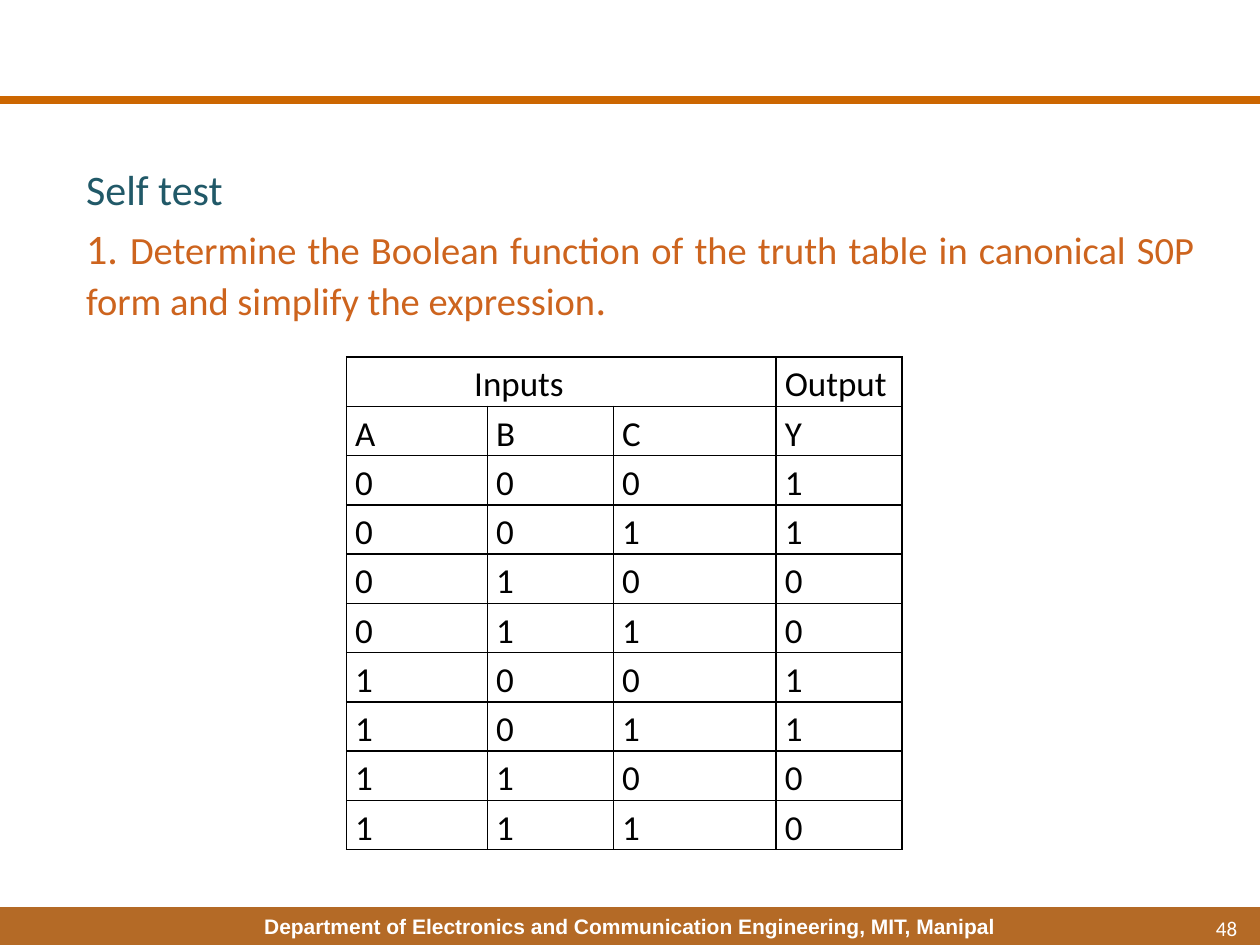
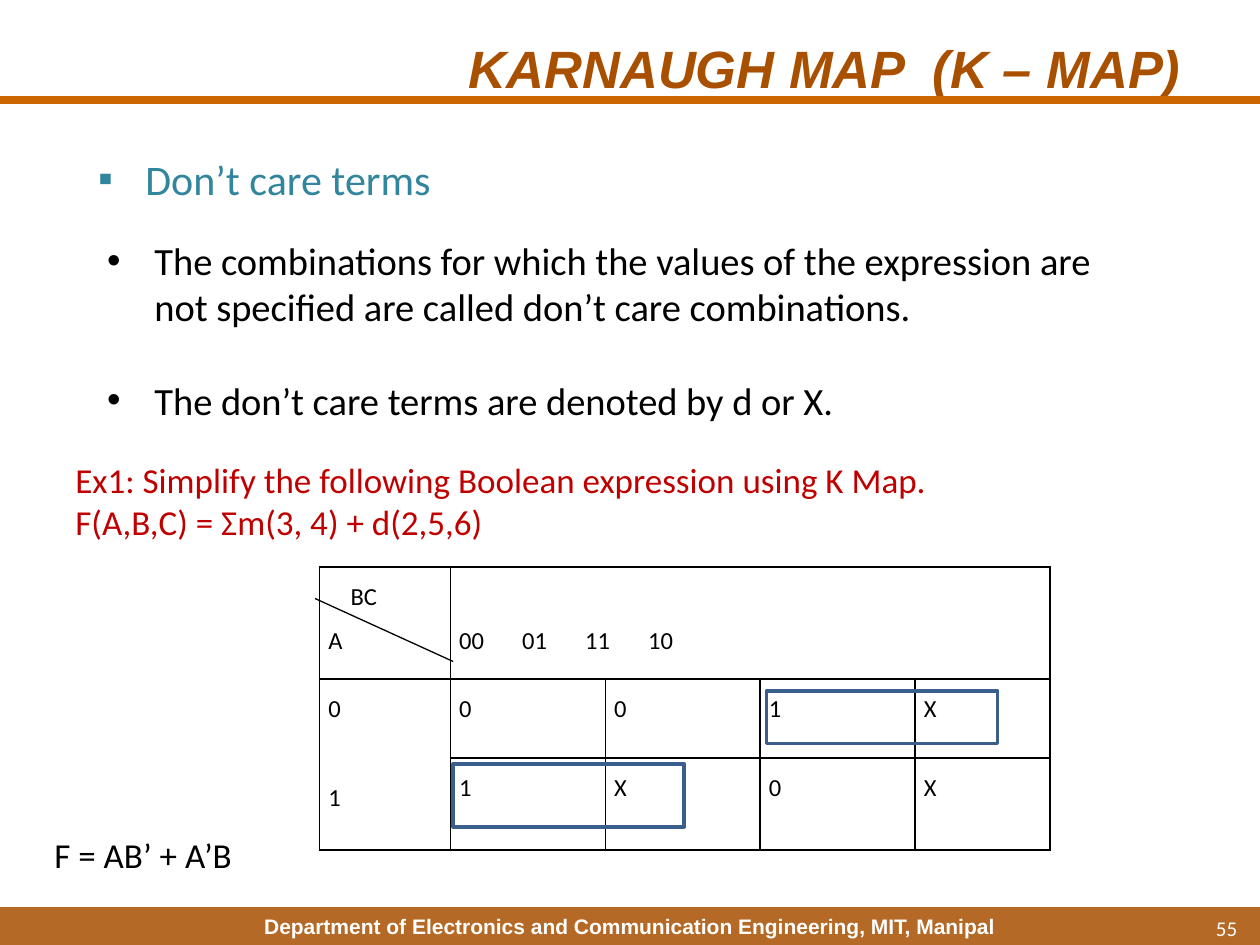
from itertools import product

from lxml.etree import SubElement
from pptx import Presentation
from pptx.dml.color import RGBColor
from pptx.enum.shapes import MSO_CONNECTOR, MSO_SHAPE
from pptx.enum.text import MSO_ANCHOR, MSO_AUTO_SIZE, PP_ALIGN
from pptx.oxml.ns import qn
from pptx.util import Pt

BROWN = "A85000"
RULE_ORANGE = "CC6600"
QUESTION_ORANGE = "CD641E"
DARK_TEAL = "215968"
TEAL = "31859C"
RED = "C00000"
LOOP_BLUE = "3A5F8C"
BLACK = "000000"
WHITE = "FFFFFF"
FOOTER = "Department of Electronics and Communication Engineering, MIT, Manipal"


def color(hex_string):
    return RGBColor.from_string(hex_string)


def format_run(run, size, hex_string, font_name="Calibri", bold=False, italic=False):
    run.font.size = Pt(size)
    run.font.name = font_name
    run.font.bold = bold
    run.font.italic = italic
    run.font.color.rgb = color(hex_string)


def format_text(text_frame, size, hex_string, align=PP_ALIGN.LEFT, **style):
    for paragraph in text_frame.paragraphs:
        paragraph.alignment = align
        paragraph.space_before = Pt(0)
        for run in paragraph.runs:
            format_run(run, size, hex_string, **style)


def set_indent(paragraph, left, first=0, bullet=None, tabs=()):
    properties = paragraph._p.get_or_add_pPr()
    properties.set("marL", str(Pt(left)))
    properties.set("indent", str(Pt(first)))
    if bullet:
        SubElement(properties, qn("a:buFont"), typeface="Arial")
        SubElement(properties, qn("a:buChar"), char=bullet)
    else:
        SubElement(properties, qn("a:buNone"))
    if tabs:
        tab_list = SubElement(properties, qn("a:tabLst"))
        for position in tabs:
            SubElement(tab_list, qn("a:tab"), pos=str(Pt(position)), algn="l")


def place(shape, left, top, width, height):
    shape.left, shape.top = Pt(left), Pt(top)
    shape.width, shape.height = Pt(width), Pt(height)
    shape.text_frame.auto_size = MSO_AUTO_SIZE.NONE


def add_text(slide, text, box, size, hex_string, align=PP_ALIGN.LEFT,
             anchor=MSO_ANCHOR.TOP, wrap=True):
    text_box = slide.shapes.add_textbox(*map(Pt, box))
    text_frame = text_box.text_frame
    text_frame.word_wrap = wrap
    text_frame.vertical_anchor = anchor
    text_frame.text = text
    format_text(text_frame, size, hex_string, align)
    return text_frame


def add_line(slide, start, end, hex_string, width):
    line = slide.shapes.add_connector(
        MSO_CONNECTOR.STRAIGHT, *map(Pt, (*start, *end)))
    line.line.color.rgb = color(hex_string)
    line.line.width = Pt(width)
    SubElement(line._element.spPr, qn("a:effectLst"))


def add_rectangle(slide, box):
    rectangle = slide.shapes.add_shape(MSO_SHAPE.RECTANGLE, *map(Pt, box))
    rectangle.shadow.inherit = False
    return rectangle


def add_loop(slide, box):
    loop = add_rectangle(slide, box)
    loop.fill.background()
    loop.line.color.rgb = color(LOOP_BLUE)
    loop.line.width = Pt(2)


def add_footer_band(slide):
    band = add_rectangle(slide, (0, 518.4, 720, 21.6))
    band.fill.solid()
    band.fill.fore_color.rgb = color(BROWN)
    fill_color = band._element.spPr.find(qn("a:solidFill"))[0]
    SubElement(fill_color, qn("a:alpha"), val="85000")
    band.line.fill.background()
    text_frame = band.text_frame
    text_frame.margin_top = text_frame.margin_bottom = 0
    text_frame.vertical_anchor = MSO_ANCHOR.MIDDLE
    text_frame.text = FOOTER
    format_text(text_frame, 12, WHITE, PP_ALIGN.CENTER, font_name="Arial", bold=True)


def add_base_slide(presentation, number):
    slide = presentation.slides.add_slide(presentation.slide_layouts[1])
    add_footer_band(slide)
    add_line(slide, (0, 57), (722, 57), RULE_ORANGE, 4.5)
    add_text(slide, number, (546, 516, 168, 29), 12, WHITE,
             PP_ALIGN.RIGHT, MSO_ANCHOR.MIDDLE)
    return slide


def add_borders(cell):
    properties = cell._tc.get_or_add_tcPr()
    for side in ("L", "R", "T", "B"):
        border = SubElement(properties, qn(f"a:ln{side}"), w=str(Pt(1)))
        fill = SubElement(border, qn("a:solidFill"))
        SubElement(fill, qn("a:srgbClr"), val=BLACK)


def add_grid(slide, position, column_widths, row_heights, rows, size, line_spacing):
    table = slide.shapes.add_table(
        len(rows), len(column_widths), *map(Pt, position),
        Pt(sum(column_widths)), Pt(sum(row_heights))).table
    table.first_row = table.horz_banding = False
    for column, width in zip(table.columns, column_widths):
        column.width = Pt(width)
    for row, height in zip(table.rows, row_heights):
        row.height = Pt(height)
    for row_index, texts in enumerate(rows):
        for column_index, text in enumerate(texts):
            cell = table.cell(row_index, column_index)
            cell.margin_left = cell.margin_right = Pt(5)
            cell.margin_top = cell.margin_bottom = 0
            add_borders(cell)
            cell.fill.background()
            cell.text_frame.text = text
            format_text(cell.text_frame, size, BLACK)
            for paragraph in cell.text_frame.paragraphs:
                paragraph.line_spacing = line_spacing
    return table


def build_self_test(presentation):
    slide = add_base_slide(presentation, "48")
    title, body = slide.placeholders
    title._element.getparent().remove(title._element)
    place(body, 42, 90, 648, 387)
    text_frame = body.text_frame
    text_frame.text = "Self test"
    format_text(text_frame, 24, DARK_TEAL, PP_ALIGN.JUSTIFY)
    question = text_frame.add_paragraph()
    question.alignment = PP_ALIGN.JUSTIFY
    question.space_before = Pt(4.8)
    for text, size in (
            ("1. ", 24),
            ("Determine the Boolean function of the truth table in canonical "
             "S0P form and simplify the expression", 22),
            (".", 24)):
        run = question.add_run()
        run.text = text
        format_run(run, size, QUESTION_ORANGE)
    for paragraph in text_frame.paragraphs:
        set_indent(paragraph, 0)

    outputs = "11001100"
    truth_rows = [[*inputs, output]
                  for inputs, output in zip(product("01", repeat=3), outputs)]
    rows = [["Inputs", "", "", "Output"], list("ABCY"), *truth_rows]
    table = add_grid(slide, (198, 204), (80.5, 72, 93, 72), [28.15] * len(rows),
                     rows, 20, 1.15)
    table.cell(0, 0).merge(table.cell(0, 2))
    set_indent(table.cell(0, 0).text_frame.paragraphs[0], 68)


def build_karnaugh_map(presentation):
    slide = add_base_slide(presentation, "55")
    title, body = slide.placeholders
    place(title, 49, 6, 648, 65)
    title.text_frame.text = "KARNAUGH MAP  (K – MAP)"
    title.text_frame.margin_right = Pt(22)
    title.text_frame.vertical_anchor = MSO_ANCHOR.MIDDLE
    format_text(title.text_frame, 30, BROWN, PP_ALIGN.RIGHT,
                font_name="Arial", bold=True, italic=True)

    heading = add_text(slide, "Don’t care terms", (49, 84, 389, 36), 24, TEAL)
    set_indent(heading.paragraphs[0], 27, -27, "▪")

    place(body, 54, 132, 612, 140)
    body.text_frame.text = (
        "The combinations for which the values of the expression are not "
        "specified are called don’t care combinations.\n"
        "The don’t care terms are denoted by d or X.")
    format_text(body.text_frame, 22, BLACK)
    for paragraph in body.text_frame.paragraphs:
        set_indent(paragraph, 27, -27, "•")
    body.text_frame.paragraphs[1].space_before = Pt(26.8)

    add_text(slide, "Ex1: Simplify the following Boolean expression using K Map.\n"
             "F(A,B,C) = Σm(3, 4) + d(2,5,6)", (36, 258.5, 648, 55), 20, RED)

    rows = [["BC\nA", "00\t01\t11\t10", "", "", ""],
            ["0\n1", "0", "0", "1", "X"],
            ["", "1", "X", "0", "X"]]
    table = add_grid(slide, (182.7, 324), (74.7, 88.5, 88.5, 88.5, 77),
                     (64, 45.3, 52.5), rows, 14, 1.5)
    corner, codes, row_labels = table.cell(0, 0), table.cell(0, 1), table.cell(1, 0)
    codes.merge(table.cell(0, 4))
    row_labels.merge(table.cell(2, 0))
    set_indent(corner.text_frame.paragraphs[0], 12.6)
    set_indent(codes.text_frame.paragraphs[0], 0, tabs=(90, 177, 242))
    codes.margin_top = Pt(25.6)
    row_labels.text_frame.paragraphs[1].space_before = Pt(25.6)

    add_text(slide, "F = AB’ + A’B", (24, 472.5, 117, 31.5), 20, BLACK,
             anchor=MSO_ANCHOR.MIDDLE, wrap=False)
    add_loop(slide, (438, 395, 132, 30))
    add_loop(slide, (259, 436.5, 132, 36))
    add_line(slide, (180, 342), (259, 378), BLACK, 0.75)


def main():
    presentation = Presentation()
    presentation.slide_width = Pt(720)
    presentation.slide_height = Pt(540)
    build_self_test(presentation)
    build_karnaugh_map(presentation)
    presentation.save("out.pptx")


if __name__ == "__main__":
    main()
